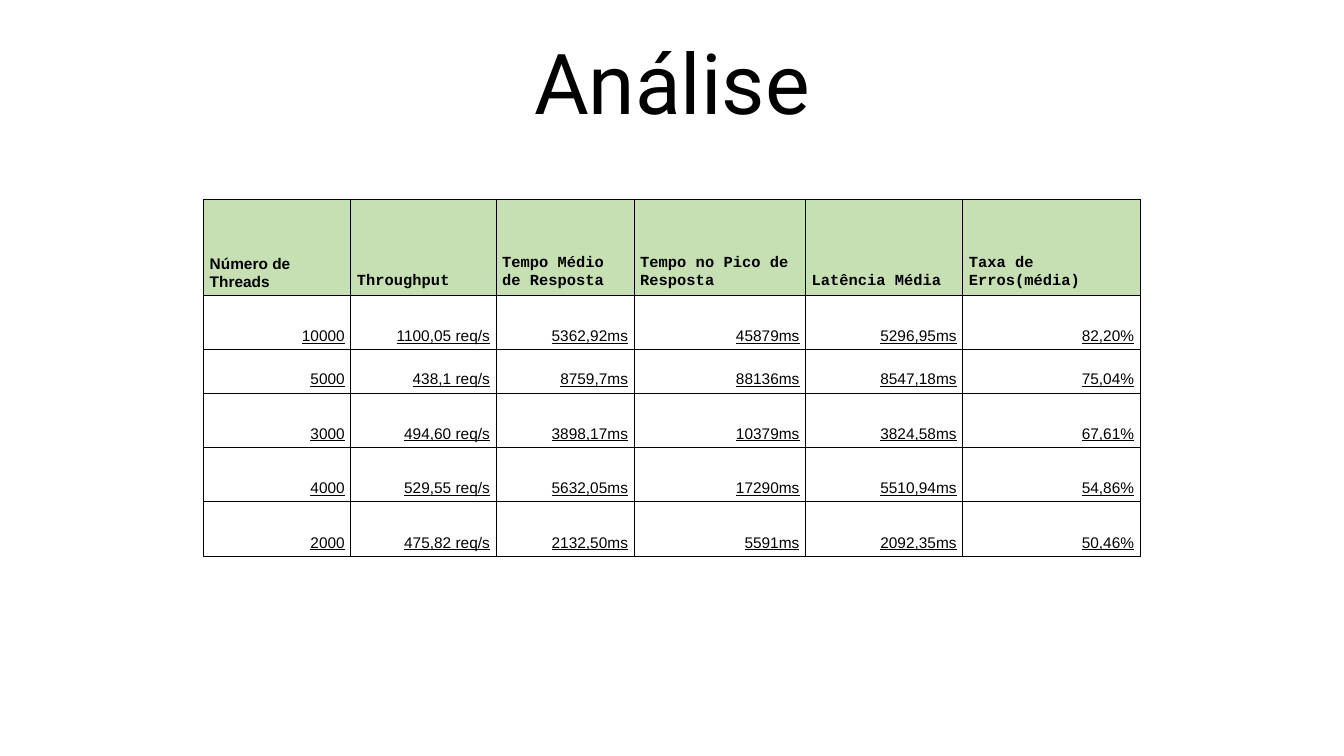
from dataclasses import dataclass

from lxml.etree import SubElement
from pptx import Presentation
from pptx.dml.color import RGBColor
from pptx.enum.text import MSO_ANCHOR, PP_ALIGN
from pptx.oxml.ns import qn
from pptx.slide import Slide
from pptx.table import _Cell
from pptx.text.text import TextFrame
from pptx.util import Inches, Pt

BLACK = RGBColor(0x00, 0x00, 0x00)
GREEN = RGBColor(0xC6, 0xE0, 0xB4)
BORDER_WIDTH = Pt(0.68)


@dataclass(frozen=True)
class Metric:
    heading: str
    width: float
    values: tuple[str, ...]
    heading_font: str = "Courier New"


METRICS = (
    Metric("Número de Threads", 1.46, ("10000", "5000", "3000", "4000", "2000"), "Arial"),
    Metric("Throughput", 1.44,
           ("1100,05 req/s", "438,1 req/s", "494,60 req/s", "529,55 req/s", "475,82 req/s")),
    Metric("Tempo Médio de Resposta", 1.37,
           ("5362,92ms", "8759,7ms", "3898,17ms", "5632,05ms", "2132,50ms")),
    Metric("Tempo no Pico de Resposta", 1.7,
           ("45879ms", "88136ms", "10379ms", "17290ms", "5591ms")),
    Metric("Latência Média", 1.56,
           ("5296,95ms", "8547,18ms", "3824,58ms", "5510,94ms", "2092,35ms")),
    Metric("Taxa de Erros(média)", 1.76, ("82,20%", "75,04%", "67,61%", "54,86%", "50,46%")),
)
ROW_HEIGHTS = (0.95, 0.54, 0.43, 0.54, 0.54, 0.54)


def write(frame: TextFrame, text: str, *, font: str, size: float, align: PP_ALIGN,
          bold: bool = False, underline: bool = False, space_after: float = 0) -> None:
    paragraph = frame.paragraphs[0]
    paragraph.alignment = align
    paragraph.space_before = Pt(0)
    paragraph.space_after = Pt(space_after)
    run = paragraph.add_run()
    run.text = text
    run.font.name = font
    run.font.size = Pt(size)
    run.font.bold = bold
    run.font.underline = underline
    run.font.color.rgb = BLACK


def add_borders(cell: _Cell) -> None:
    properties = cell._tc.get_or_add_tcPr()
    for side in ("a:lnL", "a:lnR", "a:lnT", "a:lnB"):
        line = SubElement(properties, qn(side), w=str(int(BORDER_WIDTH)))
        fill = SubElement(line, qn("a:solidFill"))
        SubElement(fill, qn("a:srgbClr"), val=str(BLACK))


def format_cell(cell: _Cell) -> None:
    cell.vertical_anchor = MSO_ANCHOR.BOTTOM
    cell.margin_left = cell.margin_right = Inches(0.06)
    cell.margin_top = cell.margin_bottom = Inches(0.05)
    add_borders(cell)


def add_title(slide: Slide, text: str) -> None:
    title = slide.shapes.title
    title.left, title.top = Inches(3.33), Inches(0.25)
    title.width, title.height = Inches(6.67), Inches(1.11)
    frame = title.text_frame
    frame.word_wrap = True
    frame.vertical_anchor = MSO_ANCHOR.TOP
    write(frame, text, font="Roboto", size=60, align=PP_ALIGN.CENTER)


def add_results(slide: Slide) -> None:
    results = slide.shapes.add_table(
        len(ROW_HEIGHTS), len(METRICS), Inches(2.02), Inches(1.98),
        Inches(sum(metric.width for metric in METRICS)), Inches(sum(ROW_HEIGHTS))).table
    results.first_row = results.horz_banding = False
    for row, height in zip(results.rows, ROW_HEIGHTS):
        row.height = Inches(height)
    for column, metric in enumerate(METRICS):
        results.columns[column].width = Inches(metric.width)
        heading = results.cell(0, column)
        format_cell(heading)
        heading.fill.solid()
        heading.fill.fore_color.rgb = GREEN
        write(heading.text_frame, metric.heading, font=metric.heading_font, size=11,
              align=PP_ALIGN.LEFT, bold=True, space_after=12)
        for row, value in enumerate(metric.values, start=1):
            cell = results.cell(row, column)
            format_cell(cell)
            cell.fill.background()
            write(cell.text_frame, value, font="Arial", size=11,
                  align=PP_ALIGN.RIGHT, underline=True, space_after=12)


def main() -> None:
    presentation = Presentation()
    presentation.slide_width, presentation.slide_height = Inches(13.33), Inches(7.5)
    slide = presentation.slides.add_slide(presentation.slide_layouts[5])
    add_title(slide, "Análise")
    add_results(slide)
    presentation.save("out.pptx")


if __name__ == "__main__":
    main()
